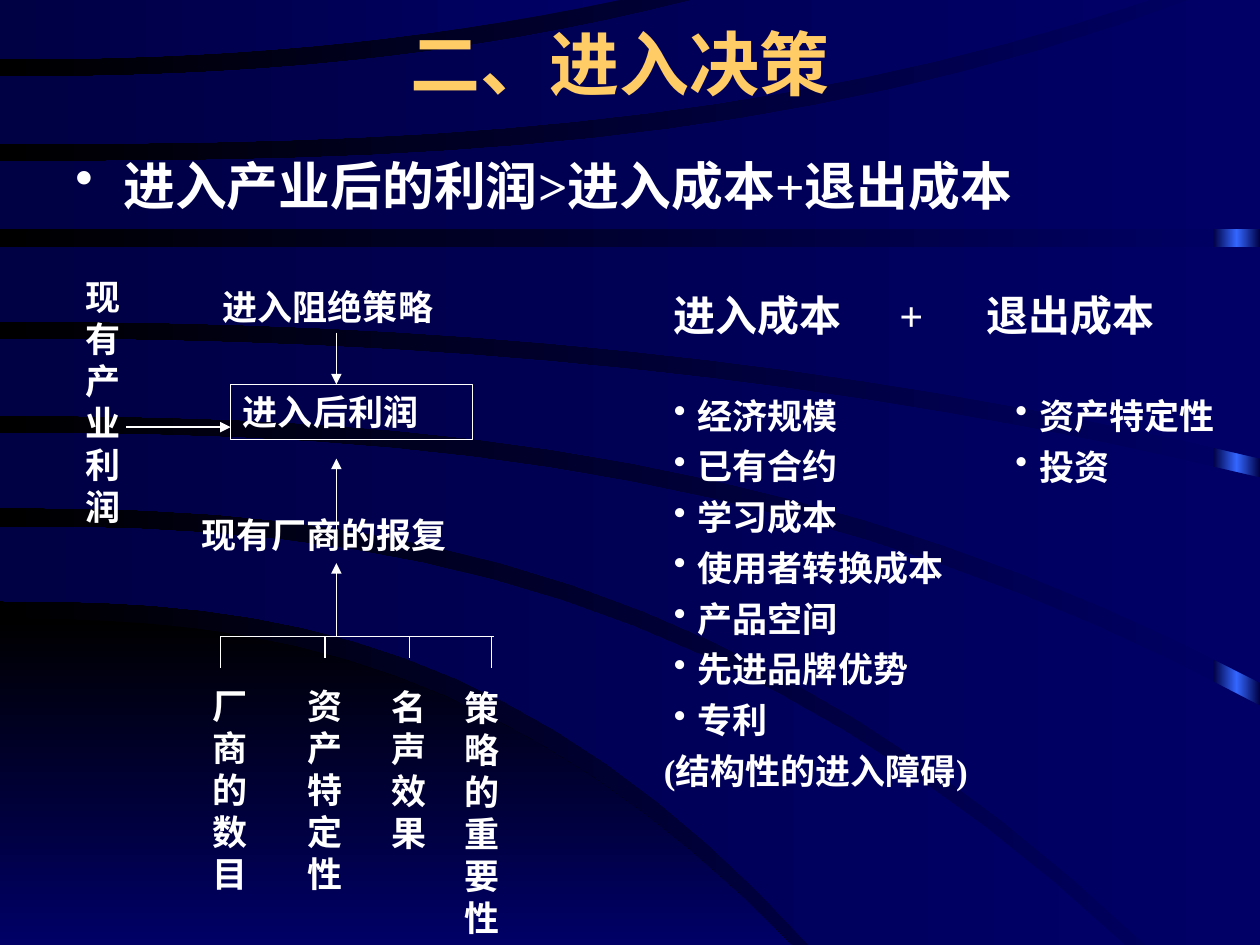
from copy import deepcopy
from dataclasses import dataclass

from lxml import etree
from pptx import Presentation
from pptx.dml.color import RGBColor
from pptx.enum.shapes import MSO_CONNECTOR, MSO_SHAPE
from pptx.enum.text import MSO_ANCHOR, MSO_AUTO_SIZE, PP_ALIGN
from pptx.oxml.ns import qn
from pptx.util import Inches, Pt

RECTANGLE = MSO_SHAPE.RECTANGLE
STRAIGHT = MSO_CONNECTOR.STRAIGHT
MIDDLE, TOP = MSO_ANCHOR.MIDDLE, MSO_ANCHOR.TOP
CENTER, LEFT = PP_ALIGN.CENTER, PP_ALIGN.LEFT
NO_AUTOSIZE = MSO_AUTO_SIZE.NONE
WIDTH, HEIGHT = 10, 7.5


@dataclass(frozen=True)
class Theme:
    font: str = "Times New Roman"
    text: str = "FFFFFF"
    title: str = "FFCC66"
    black: str = "000000"
    navy: str = "000044"
    blue: str = "000066"
    glow: str = "3366FF"
    title_size: float = 40
    lead_size: float = 29.6
    heading_size: float = 24
    label_size: float = 20
    line_width: float = 0.75


THEME = Theme()


@dataclass(frozen=True)
class Edge:
    """A power curve from the left side of the page to (end_x, end_y)."""
    start_y: float
    end_y: float
    end_x: float = WIDTH
    power: float = 2.5

    def points(self, steps: int = 16) -> list:
        drop = self.end_y - self.start_y
        if not drop:
            return [(0, self.start_y), (self.end_x, self.end_y)]
        shares = [step / steps for step in range(steps + 1)]
        return [(self.end_x * share, self.start_y + drop * share ** self.power) for share in shares]


@dataclass(frozen=True)
class Band:
    """A background band between two edges, with a page corner where it needs one."""
    upper: Edge
    lower: Edge
    corner: tuple = ()
    colors: tuple = (THEME.blue, THEME.navy)
    angle: int = 180


@dataclass(frozen=True)
class Label:
    text: str
    left: float
    top: float
    width: float
    height: float
    size: float = THEME.label_size


@dataclass(frozen=True)
class Line:
    start: tuple
    end: tuple
    arrow: bool = False


BANDS = (
    Band(Edge(4.91, HEIGHT, 6.28), Edge(HEIGHT, HEIGHT, 6.28), (), (THEME.black, THEME.blue), 270),
    Band(Edge(4.18, HEIGHT, 8.93), Edge(4.77, HEIGHT, 6.42, 2.6)),
    Band(Edge(3.44, 5.6), Edge(4.03, HEIGHT, 9.09), ((WIDTH, HEIGHT),)),
    Band(Edge(2.69, 3.79, power=2.2), Edge(3.3, 5.42)),
    Band(Edge(1.96, 1.96), Edge(2.55, 3.64, power=2.2)),
    Band(Edge(1.28, 0, 9.43, 2.8), Edge(1.82, 1.82), ((WIDTH, 0),)),
    Band(Edge(0.61, 0, 5.5, 2.3), Edge(1.14, 0, 9.13, 2.7)),
    Band(Edge(0, 0, 4.92), Edge(0.47, 0, 4.92, 2.2)),
)

# Narrow boxes hold one character per line
LABELS = (
    Label("进入阻绝策略", 1.67, 2.22, 2.67, 0.44),
    Label("现有厂商的报复", 1.5, 4.03, 2.83, 0.44),
    Label("厂商的数目", 1.59, 5.38, 0.5, 1.77),
    Label("资产特定性", 2.34, 5.38, 0.58, 1.77),
    Label("名声效果", 3.01, 5.39, 0.67, 1.44),
    Label("策略的重要性", 3.59, 5.4, 0.58, 2.1),
    Label("现有产业利润", 0.58, 2.14, 0.42, 2.1),
)
PROFIT = Label("进入后利润", 1.83, 3.05, 1.92, 0.44)
LEAD = Label("进入产业后的利润>进入成本+退出成本", 0.5, 1.17, 8.5, 0.75, THEME.lead_size)
COST_HEADING = Label("进入成本\t+\t退出成本", 5.25, 2.25, 4.17, 0.5, THEME.heading_size)
ENTRY_COSTS = Label("经济规模\n已有合约\n学习成本\n使用者转换成本\n产品空间\n先进品牌优势\n专利",
                    5.17, 3.08, 2.7, 3.26)
ENTRY_NOTE = "(结构性的进入障碍)"
EXIT_COSTS = Label("资产特定性\n投资", 7.88, 3.08, 2.1, 0.85)

AXIS_X, FORK_Y = 2.67, 5.05
LINES = (
    Line((1, 3.39), (PROFIT.left, 3.39), True),
    *(Line((AXIS_X, start), (AXIS_X, end), True)
      for start, end in ((2.64, PROFIT.top), (4.22, 3.64), (FORK_Y, 4.47))),
    Line((1.75, FORK_Y), (3.92, FORK_Y)),
    *(Line((x, FORK_Y), (x, end))
      for x, end in ((1.75, 5.3), (2.58, 5.22), (3.25, 5.22), (3.9, 5.3))),
)


def color(value: str) -> RGBColor:
    return RGBColor.from_string(value)


def set_gradient(fill, colors: tuple, angle: int) -> None:
    fill.gradient()
    fill.gradient_angle = angle
    for stop, value in zip(fill.gradient_stops, colors):
        stop.color.rgb = color(value)


def draw_band(page, band: Band) -> None:
    outline = [*band.upper.points(), *band.corner, *reversed(band.lower.points())]
    first, *rest = [(Inches(x), Inches(y)) for x, y in outline]
    builder = page.shapes.build_freeform(*first)
    builder.add_line_segments(rest, close=True)
    shape = builder.convert_to_shape()
    shape.shadow.inherit = False
    shape.line.fill.background()
    set_gradient(shape.fill, band.colors, band.angle)


def draw_strip(page) -> None:
    strip = page.shapes.add_shape(RECTANGLE, Inches(9.63), 0, Inches(0.37), Inches(HEIGHT))
    strip.shadow.inherit = False
    strip.line.fill.background()
    set_gradient(strip.fill, (THEME.navy, THEME.navy), 180)
    stops = strip._element.spPr.find(".//" + qn("a:gsLst"))
    stops.insert(1, deepcopy(stops[0]))
    strip.fill.gradient_stops[1].position = 0.5
    strip.fill.gradient_stops[1].color.rgb = color(THEME.glow)


def add_span(para, text: str, size: float, value: str = THEME.text) -> None:
    span = para.add_run()
    span.text = text
    span.font.name = THEME.font
    span.font.size = Pt(size)
    span.font.bold = True
    span.font.color.rgb = color(value)


def draw_label(page, label: Label):
    box = page.shapes.add_textbox(*map(Inches, (label.left, label.top, label.width, label.height)))
    box.text_frame.word_wrap = True
    first, *rest = label.text.split("\n")
    add_span(box.text_frame.paragraphs[0], first, label.size)
    for text in rest:
        add_span(box.text_frame.add_paragraph(), text, label.size)
    return box


def add_bullet(para, margin: float, indent: float) -> None:
    properties = para._p.get_or_add_pPr()
    properties.set("marL", str(Inches(margin)))
    properties.set("indent", str(Inches(indent)))
    etree.SubElement(properties, qn("a:buChar")).set("char", "•")


def draw_list(page, items: Label, note: str = "") -> None:
    frame = draw_label(page, items).text_frame
    for para in frame.paragraphs:
        add_bullet(para, 0.27, -0.19)
    if note:
        add_span(frame.add_paragraph(), note, items.size)
    for para in frame.paragraphs[1:]:
        para.space_before = Pt(5)


def draw_line(page, line: Line) -> None:
    connector = page.shapes.add_connector(STRAIGHT, *map(Inches, line.start + line.end))
    connector.line.color.rgb = color(THEME.text)
    connector.line.width = Pt(THEME.line_width)
    if line.arrow:
        outline = connector._element.spPr.find(qn("a:ln"))
        etree.SubElement(outline, qn("a:tailEnd")).set("type", "triangle")
    etree.SubElement(connector._element.spPr, qn("a:effectLst"))


def draw_profit_box(page) -> None:
    box = page.shapes.add_shape(
        RECTANGLE, *map(Inches, (PROFIT.left, PROFIT.top, PROFIT.width, PROFIT.height)))
    box.shadow.inherit = False
    box.fill.background()
    box.line.color.rgb = color(THEME.text)
    box.line.width = Pt(THEME.line_width)
    box.text_frame.vertical_anchor = TOP
    para = box.text_frame.paragraphs[0]
    para.alignment = LEFT
    add_span(para, PROFIT.text, PROFIT.size)


def draw_title(page) -> None:
    title = page.shapes.title
    title.left, title.top, title.width, title.height = map(Inches, (0.67, 0, 8.5, 1))
    title.text_frame.auto_size = NO_AUTOSIZE
    title.text_frame.vertical_anchor = MIDDLE
    para = title.text_frame.paragraphs[0]
    para.alignment = CENTER
    add_span(para, "二、进入决策", THEME.title_size, THEME.title)
    page.shapes._spTree.append(title._element)  # in front of the bands


def draw_cost_heading(page) -> None:
    box = draw_label(page, COST_HEADING)
    properties = box.text_frame.paragraphs[0]._p.get_or_add_pPr()
    tabs = etree.SubElement(properties, qn("a:tabLst"))
    for position in (1.79, 2.48):
        etree.SubElement(tabs, qn("a:tab"), pos=str(Inches(position)), algn="l")


def main() -> None:
    deck = Presentation()
    deck.slide_width, deck.slide_height = Inches(WIDTH), Inches(HEIGHT)
    page = deck.slides.add_slide(deck.slide_layouts[5])

    # Background
    set_gradient(page.background.fill, (THEME.blue, THEME.black), 180)
    draw_strip(page)
    for band in BANDS:
        draw_band(page, band)

    # Title and lead
    draw_title(page)
    lead = draw_label(page, LEAD)
    add_bullet(lead.text_frame.paragraphs[0], 0.38, -0.38)

    # Profit diagram
    for label in LABELS:
        draw_label(page, label)
    draw_profit_box(page)
    for line in LINES:
        draw_line(page, line)

    # Cost lists
    draw_cost_heading(page)
    draw_list(page, ENTRY_COSTS, ENTRY_NOTE)
    draw_list(page, EXIT_COSTS)

    deck.save("out.pptx")


if __name__ == "__main__":
    main()
